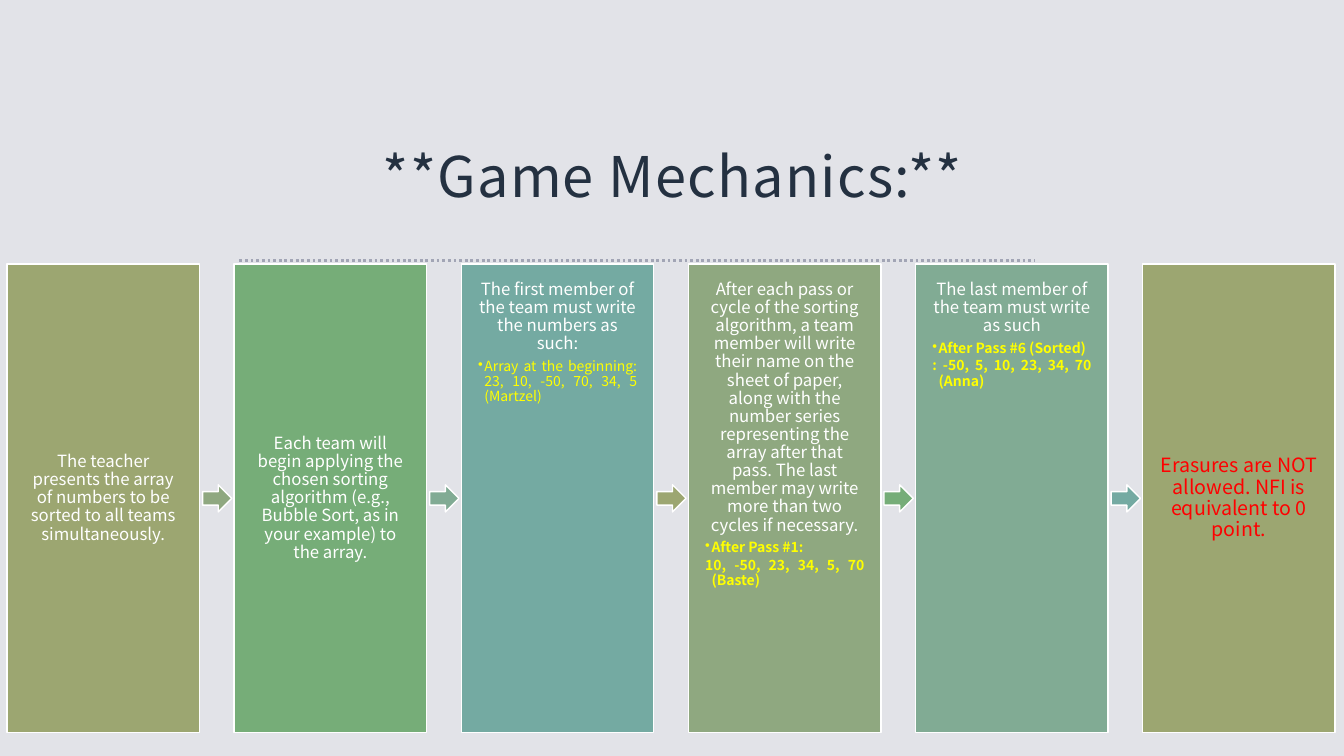
from dataclasses import dataclass

import pptx
import pptx.dml.color
import pptx.enum.dml
import pptx.enum.shapes
import pptx.enum.text
import pptx.oxml.ns
import pptx.util
from lxml import etree

Pt = pptx.util.Pt
Align = pptx.enum.text.PP_ALIGN
Anchor = pptx.enum.text.MSO_ANCHOR
Preset = pptx.enum.shapes.MSO_SHAPE

FONT = "Noto Sans CJK JP"
OLIVE, GREEN, TEAL, SAGE, MINT = "9CA671", "76AD78", "74AAA2", "8FA880", "81AB94"
WHITE, YELLOW, RED = "FFFFFF", "FFFF00", "FF0000"

STEP_LEFT, STEP_TOP, STEP_WIDTH, STEP_HEIGHT = 5, 188.6, 137.5, 334.8
STEP_PITCH = 162.25
ARROW_OFFSET, ARROW_WIDTH, ARROW_HEIGHT = 139.7, 20.9, 19.4
HANGING = 4.5


@dataclass
class Detail:
    text: str
    bold: bool = True
    bullet: bool = True


@dataclass
class Step:
    text: str
    fill: str
    arrow: str = ""
    details: tuple[Detail, ...] = ()
    size: float = 12
    color: str = WHITE


STEPS = [
    Step("The teacher presents the array of numbers to be sorted to all teams "
         "simultaneously.", OLIVE, SAGE),
    Step("Each team will begin applying the chosen sorting algorithm (e.g., Bubble "
         "Sort, as in your example) to the array.", GREEN, MINT),
    Step("The first member of the team must write the numbers as such:", TEAL, OLIVE,
         (Detail("Array at the beginning: 23, 10, -50, 70, 34, 5 (Martzel)", bold=False),)),
    Step("After each pass or cycle of the sorting algorithm, a team member will write "
         "their name on the sheet of paper, along with the number series representing "
         "the array after that pass. The last member may write more than two cycles if "
         "necessary.", SAGE, GREEN,
         (Detail("After Pass #1:"),
          Detail("10, -50, 23, 34, 5, 70 (Baste)", bullet=False))),
    Step("The last member of the team must write as such", MINT, TEAL,
         (Detail("After Pass #6 (Sorted)"),
          Detail(": -50, 5, 10, 23, 34, 70 (Anna)", bullet=False))),
    Step("Erasures are NOT allowed. NFI is equivalent to 0 point.", OLIVE,
         size=14, color=RED),
]


def rgb(code: str) -> pptx.dml.color.RGBColor:
    return pptx.dml.color.RGBColor.from_string(code)


def write(para, text: str, *, size: float, color: str, bold: bool = False,
          align=Align.CENTER, line: float = 1.0, after: float = 0, spacing: float = 0,
          hanging: float = 0, bullet: bool = False) -> None:
    """Add formatted text to a paragraph; all lengths are in points."""
    para.alignment = align
    para.line_spacing = line
    para.space_after = Pt(after)
    span = para.add_run()
    span.text = text
    span.font.name = FONT
    span.font.size = Pt(size)
    span.font.bold = bold
    span.font.color.rgb = rgb(color)
    if spacing:
        span._r.get_or_add_rPr().set("spc", str(round(spacing * 100)))
    properties = para._p.get_or_add_pPr()
    if hanging:
        properties.set("marL", str(Pt(hanging)))
        properties.set("indent", str(-Pt(hanging)))
    if bullet:
        mark = etree.SubElement(properties, pptx.oxml.ns.qn("a:buChar"))
        mark.set("char", "•")


def set_frame(frame, anchor, left: float, top: float, right: float, bottom: float) -> None:
    frame.word_wrap = True
    frame.auto_size = pptx.enum.text.MSO_AUTO_SIZE.NONE
    frame.vertical_anchor = anchor
    frame.margin_left, frame.margin_top = Pt(left), Pt(top)
    frame.margin_right, frame.margin_bottom = Pt(right), Pt(bottom)


def add_block(slide, preset, left: float, top: float, width: float, height: float,
              fill: str):
    """Add a filled preset shape with a thin white outline."""
    block = slide.shapes.add_shape(preset, Pt(left), Pt(top), Pt(width), Pt(height))
    block.shadow.inherit = False
    block.fill.solid()
    block.fill.fore_color.rgb = rgb(fill)
    block.line.color.rgb = rgb(WHITE)
    block.line.width = Pt(1)
    return block


def add_title(slide) -> None:
    title = slide.shapes.title
    title.left, title.top, title.width, title.height = Pt(75.6), Pt(74.2), Pt(810), Pt(100.8)
    set_frame(title.text_frame, Anchor.MIDDLE, 8.6, 8.6, 8.6, 7.2)
    write(title.text_frame.paragraphs[0], "**Game Mechanics:**", size=40,
          color="243141", spacing=0.9)


def add_dotted_rule(slide) -> None:
    rule = slide.shapes.add_connector(pptx.enum.shapes.MSO_CONNECTOR.STRAIGHT,
                                      Pt(171), Pt(186), Pt(739.5), Pt(186))
    rule.line.color.rgb = rgb("A2A5B5")
    rule.line.width = Pt(2)
    rule.line.dash_style = pptx.enum.dml.MSO_LINE.ROUND_DOT
    etree.SubElement(rule._element.spPr, pptx.oxml.ns.qn("a:effectLst"))


def add_step(slide, step: Step, left: float) -> None:
    box = add_block(slide, Preset.RECTANGLE, left, STEP_TOP, STEP_WIDTH, STEP_HEIGHT,
                    step.fill)
    frame = box.text_frame
    set_frame(frame, Anchor.TOP if step.details else Anchor.MIDDLE, 12, 12, 12, 12)
    write(frame.paragraphs[0], step.text, size=step.size, color=step.color,
          line=0.9, after=4.2)
    for detail in step.details:
        write(frame.add_paragraph(), detail.text, size=10, color=YELLOW,
              bold=detail.bold, align=Align.JUSTIFY, line=0.9, after=1.8,
              hanging=HANGING, bullet=detail.bullet)
    if step.arrow:
        arrow_top = STEP_TOP + (STEP_HEIGHT - ARROW_HEIGHT) / 2
        add_block(slide, Preset.RIGHT_ARROW, left + ARROW_OFFSET, arrow_top,
                  ARROW_WIDTH, ARROW_HEIGHT, step.arrow)


def main() -> None:
    deck = pptx.Presentation()
    deck.slide_width, deck.slide_height = Pt(960), Pt(540)
    slide = deck.slides.add_slide(deck.slide_layouts[5])
    slide.background.fill.solid()
    slide.background.fill.fore_color.rgb = rgb("E2E3E8")
    add_title(slide)
    add_dotted_rule(slide)
    for index, step in enumerate(STEPS):
        add_step(slide, step, STEP_LEFT + index * STEP_PITCH)
    deck.save("out.pptx")


if __name__ == "__main__":
    main()
